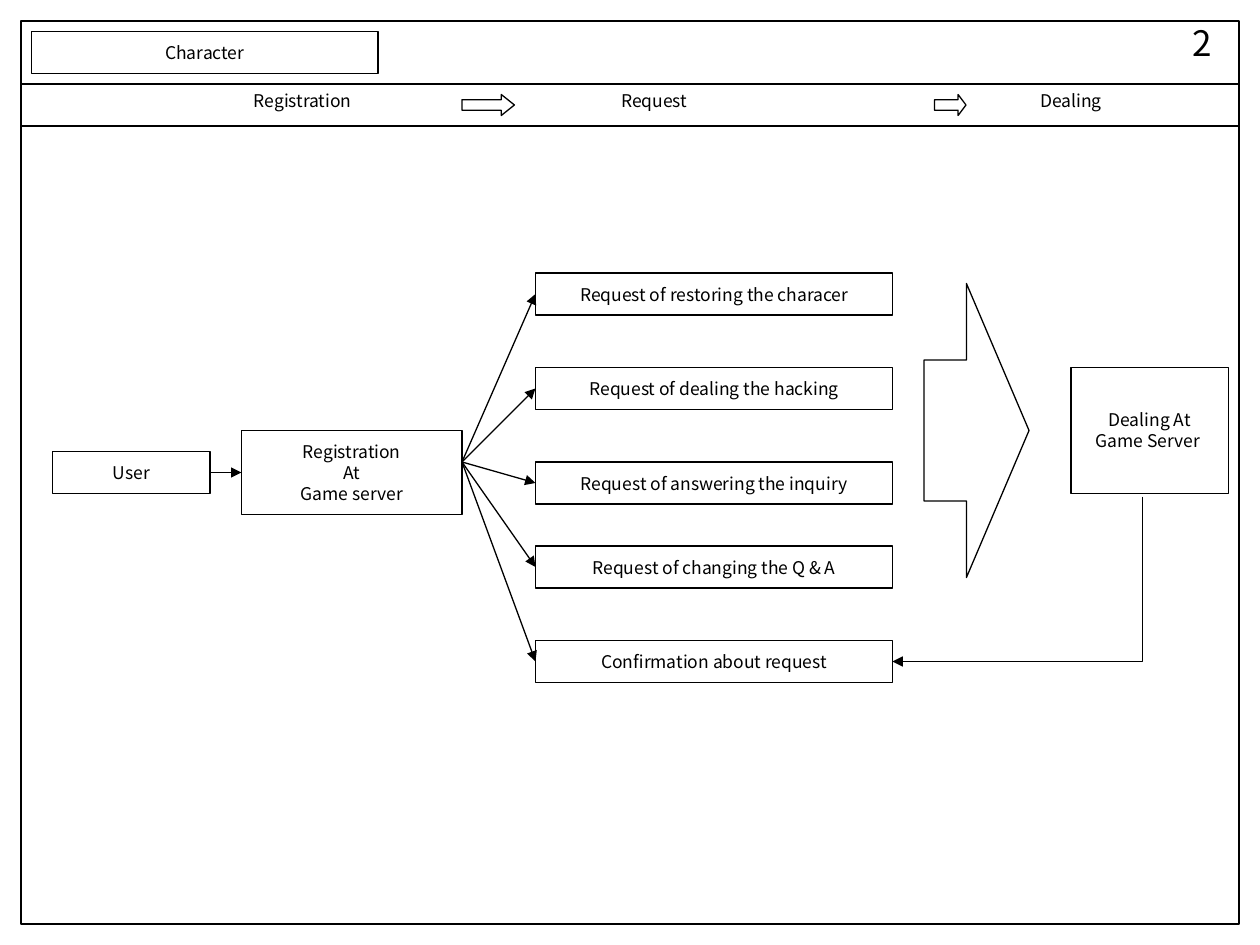
from dataclasses import dataclass

from lxml.etree import SubElement
from pptx import Presentation
from pptx.dml.color import RGBColor
from pptx.enum.shapes import MSO_CONNECTOR, MSO_SHAPE
from pptx.enum.text import MSO_ANCHOR, PP_ALIGN
from pptx.oxml.ns import qn
from pptx.shapes.autoshape import Shape
from pptx.shapes.connector import Connector
from pptx.slide import Slide
from pptx.util import Emu, Pt

EMU_PER_PX = 7620
TOP, LEFT, BOTTOM, RIGHT = range(4)


@dataclass(frozen=True)
class Theme:
    ink: RGBColor = RGBColor(0, 0, 0)
    font: str = "Noto Sans CJK KR"
    body_size: float = 10
    number_size: float = 20
    line_width: float = 0.75


@dataclass(frozen=True)
class Box:
    left: int
    top: int
    width: int
    height: int
    text: str = ""


@dataclass(frozen=True)
class BlockArrow:
    box: Box
    shaft: float
    head: float


THEME = Theme()

FRAME = Box(20, 20, 1160, 860)
TITLE = Box(30, 30, 330, 40, "Character")
PAGE_NUMBER = Box(1120, 20, 50, 40, "2")
HEADER_LINES = (80, 120)
STAGES = (
    Box(230, 80, 180, 32, "Registration"),
    Box(580, 80, 180, 32, "Request"),
    Box(979, 80, 84, 32, "Dealing"),
)
BLOCK_ARROWS = (
    BlockArrow(Box(440, 90, 50, 20), 0.5, 0.626),
    BlockArrow(Box(890, 90, 30, 20), 0.5, 0.375),
    BlockArrow(Box(880, 270, 100, 280), 0.48, 0.596),
)
USER = Box(50, 430, 150, 40, "User")
REGISTRATION = Box(230, 410, 210, 80, "Registration\nAt\nGame server")
DEALING = Box(1020, 350, 150, 120, "Dealing At\nGame Server ")
REQUESTS = tuple(
    Box(510, top, 340, 40, text)
    for top, text in (
        (260, "Request of restoring the characer"),
        (350, "Request of dealing the hacking"),
        (440, "Request of answering the inquiry"),
        (520, "Request of changing the Q & A"),
        (610, "Confirmation about request"),
    )
)
FAN_START = (440, 440)
RETURN_ROUTE = ((1088, 473), (1088, 630), (850, 630))


def px(length: int) -> Emu:
    return Emu(length * EMU_PER_PX)


def place(box: Box) -> tuple[Emu, Emu, Emu, Emu]:
    return px(box.left), px(box.top), px(box.width), px(box.height)


def style_line(item: Shape | Connector, arrow: bool = False) -> None:
    item.line.color.rgb = THEME.ink
    item.line.width = Pt(THEME.line_width)
    if arrow:
        SubElement(item.line._get_or_add_ln(), qn("a:tailEnd"), type="triangle")


def write_text(
    shape: Shape, text: str, align: PP_ALIGN, anchor: MSO_ANCHOR, size: float, wrap: bool
) -> None:
    frame = shape.text_frame
    frame.text = text
    frame.word_wrap = wrap
    frame.vertical_anchor = anchor
    for paragraph in frame.paragraphs:
        paragraph.alignment = align
        paragraph.font.name = THEME.font
        paragraph.font.size = Pt(size)
        paragraph.font.color.rgb = THEME.ink


def add_outline(slide: Slide, box: Box, kind: MSO_SHAPE = MSO_SHAPE.RECTANGLE) -> Shape:
    shape = slide.shapes.add_shape(kind, *place(box))
    shape.shadow.inherit = False
    shape.fill.background()
    style_line(shape)
    if box.text:
        write_text(
            shape, box.text, PP_ALIGN.CENTER, MSO_ANCHOR.MIDDLE, THEME.body_size, False
        )
    return shape


def add_block_arrow(slide: Slide, arrow: BlockArrow) -> None:
    shape = add_outline(slide, arrow.box, MSO_SHAPE.RIGHT_ARROW)
    shape.adjustments[0] = arrow.shaft
    shape.adjustments[1] = arrow.head


def add_label(
    slide: Slide, box: Box, align: PP_ALIGN, anchor: MSO_ANCHOR, size: float
) -> None:
    shape = slide.shapes.add_textbox(*place(box))
    write_text(shape, box.text, align, anchor, size, True)


def add_line(
    slide: Slide, start: tuple[int, int], end: tuple[int, int], arrow: bool = False
) -> Connector:
    connector = slide.shapes.add_connector(
        MSO_CONNECTOR.STRAIGHT, *map(px, start), *map(px, end)
    )
    style_line(connector, arrow)
    SubElement(connector._element.spPr, qn("a:effectLst"))
    return connector


def left_middle(box: Box) -> tuple[int, int]:
    return box.left, box.top + box.height // 2


def right_middle(box: Box) -> tuple[int, int]:
    return box.left + box.width, box.top + box.height // 2


def add_return_route(slide: Slide) -> None:
    start, *corners = RETURN_ROUTE
    builder = slide.shapes.build_freeform(*start, scale=EMU_PER_PX)
    builder.add_line_segments(corners, close=False)
    shape = builder.convert_to_shape()
    shape.shadow.inherit = False
    shape.fill.background()
    style_line(shape, arrow=True)


def main() -> None:
    presentation = Presentation()
    presentation.slide_width, presentation.slide_height = px(1200), px(900)
    slide = presentation.slides.add_slide(presentation.slide_layouts[6])

    add_outline(slide, FRAME)
    add_outline(slide, TITLE)
    for height in HEADER_LINES:
        add_line(slide, (FRAME.left, height), (FRAME.left + FRAME.width, height))
    for stage in STAGES:
        add_label(slide, stage, PP_ALIGN.LEFT, MSO_ANCHOR.TOP, THEME.body_size)
    add_label(
        slide, PAGE_NUMBER, PP_ALIGN.CENTER, MSO_ANCHOR.MIDDLE, THEME.number_size
    )
    for arrow in BLOCK_ARROWS:
        add_block_arrow(slide, arrow)

    user = add_outline(slide, USER)
    registration = add_outline(slide, REGISTRATION)
    add_outline(slide, DEALING)
    entry = add_line(slide, right_middle(USER), left_middle(REGISTRATION), arrow=True)
    entry.begin_connect(user, RIGHT)
    entry.end_connect(registration, LEFT)

    for request in REQUESTS:
        shape = add_outline(slide, request)
        branch = add_line(slide, FAN_START, left_middle(request), arrow=True)
        branch.end_connect(shape, LEFT)
    add_return_route(slide)

    presentation.save("out.pptx")


if __name__ == "__main__":
    main()
